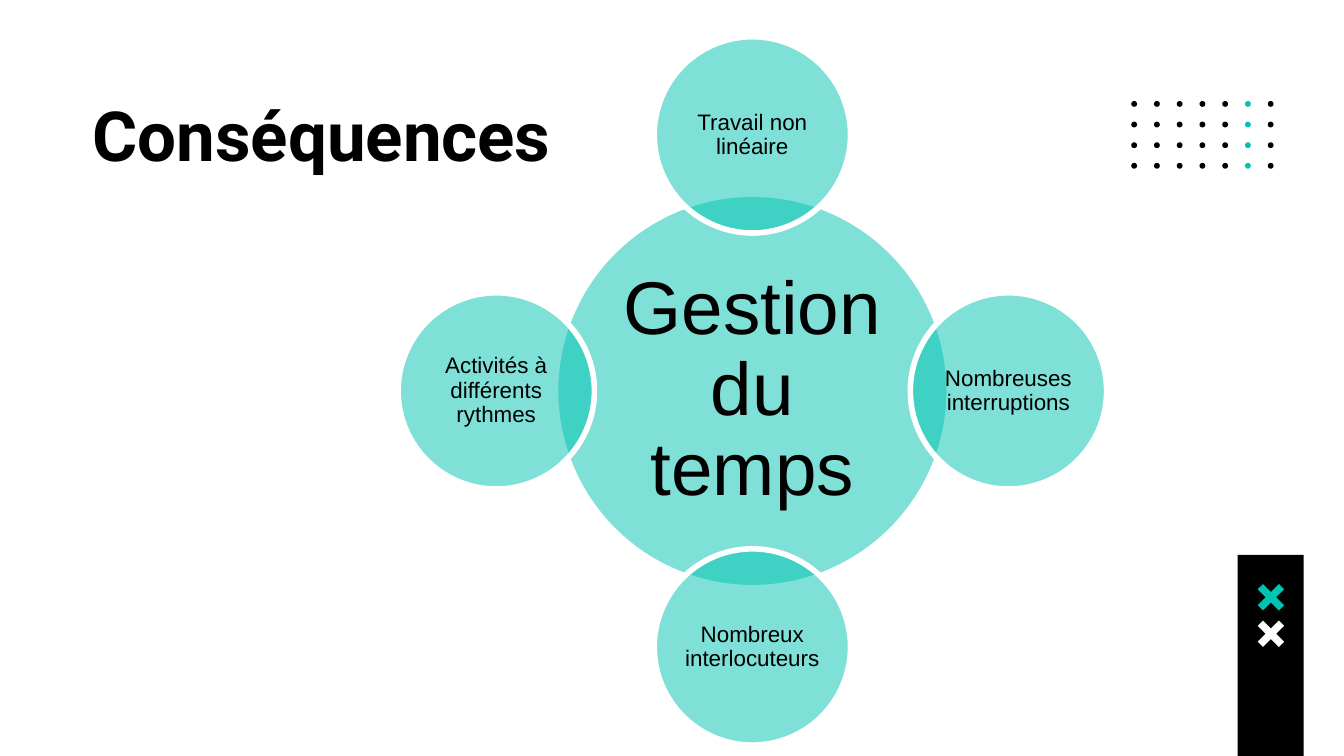
import math

import pptx
import pptx.dml.color
import pptx.enum.shapes
import pptx.enum.text
import pptx.util
from lxml import etree
from pptx.oxml.ns import qn

Cm = pptx.util.Cm
Pt = pptx.util.Pt
SHAPE = pptx.enum.shapes.MSO_SHAPE
ALIGN = pptx.enum.text.PP_ALIGN
ANCHOR = pptx.enum.text.MSO_ANCHOR

COLORS = {"teal": "00C3B1", "black": "000000", "white": "FFFFFF"}


def rgb(name):
    return pptx.dml.color.RGBColor.from_string(COLORS[name])


def write(tf, text, size=12, font="Arial", color="black", bold=False,
          align=ALIGN.CENTER, anchor=ANCHOR.MIDDLE, spacing=0.9, inset=0):
    tf.word_wrap = True
    tf.auto_size = pptx.enum.text.MSO_AUTO_SIZE.NONE
    tf.vertical_anchor = anchor
    tf.margin_left = tf.margin_right = Cm(inset)
    tf.margin_top = tf.margin_bottom = Cm(inset)
    p = tf.paragraphs[0]
    p.alignment = align
    p.line_spacing = spacing
    r = p.add_run()
    r.text = text
    r.font.size = Pt(size)
    r.font.name = font
    r.font.bold = bold
    r.font.color.rgb = rgb(color)


class Deck:
    """Holds the style and the current slide; lengths are centimetres."""

    title_font = "Roboto"

    def __init__(self, prs):
        self.s = prs.slides.add_slide(prs.slide_layouts[5])

    def paint(self, sp, color):
        sp.shadow.inherit = False
        sp.fill.solid()
        sp.fill.fore_color.rgb = rgb(color)
        sp.line.fill.background()
        return sp

    def shape(self, kind, x, y, w, h, color):
        sp = self.s.shapes.add_shape(kind, Cm(x), Cm(y), Cm(w), Cm(h))
        return self.paint(sp, color)

    def title(self, text, x, y, w, h):
        sp = self.s.shapes.title
        sp.left, sp.top, sp.width, sp.height = Cm(x), Cm(y), Cm(w), Cm(h)
        write(sp.text_frame, text, size=37, font=self.title_font, bold=True,
              align=ALIGN.LEFT, anchor=ANCHOR.TOP, spacing=1.0, inset=0.25)

    def bubble(self, text, cx, cy, diameter, **text_format):
        """Add a half-transparent circle with a white rim, given its centre."""
        sp = self.shape(SHAPE.OVAL, cx - diameter / 2, cy - diameter / 2,
                        diameter, diameter, "teal")
        clr = sp.fill._xPr.find(qn("a:solidFill"))[0]
        etree.SubElement(clr, qn("a:alpha"), val="50000")
        sp.line.color.rgb = rgb("white")
        sp.line.width = Pt(3)
        write(sp.text_frame, text, **text_format)

    def dot_grid(self, x, y, cols, rows, dx, dy, accent_col):
        for row in range(rows):
            for col in range(cols):
                color = "teal" if col == accent_col else "black"
                self.shape(SHAPE.OVAL, x + col * dx, y + row * dy, 0.11, 0.11, color)

    def cross(self, cx, cy, color):
        points = []
        quarter = [(-0.15, -0.25), (-0.25, -0.15), (-0.1, 0)]
        for _ in range(4):
            points += quarter
            quarter = [(y, -x) for x, y in quarter]
        points = [(Cm(cx + x), Cm(cy + y)) for x, y in points]
        fb = self.s.shapes.build_freeform(*points[0])
        fb.add_line_segments(points[1:], close=True)
        self.paint(fb.convert_to_shape(), color)


def main():
    prs = pptx.Presentation()
    prs.slide_width, prs.slide_height = Cm(25.4), Cm(14.29)
    deck = Deck(prs)

    deck.dot_grid(21.38, 1.91, cols=7, rows=4, dx=0.43, dy=0.39, accent_col=5)
    deck.shape(SHAPE.RECTANGLE, 23.39, 10.49, 1.25, 3.8, "black")
    deck.cross(24.02, 11.29, "teal")
    deck.cross(24.02, 11.98, "white")
    deck.title("Conséquences", 1.5, 1.5, 22.5, 2)

    cx, cy, orbit = 14.22, 7.39, 4.84
    deck.bubble("Gestion du temps", cx, cy, 7.44, size=40, inset=0.15)
    # Clockwise from the top
    effects = ["Travail non linéaire", "Nombreuses interruptions",
               "Nombreux interlocuteurs", "Activités à différents rythmes"]
    for i, effect in enumerate(effects):
        angle = 2 * math.pi * i / len(effects)
        deck.bubble(effect, cx + orbit * math.sin(angle),
                    cy - orbit * math.cos(angle), 3.71)

    prs.save("out.pptx")


if __name__ == "__main__":
    main()
